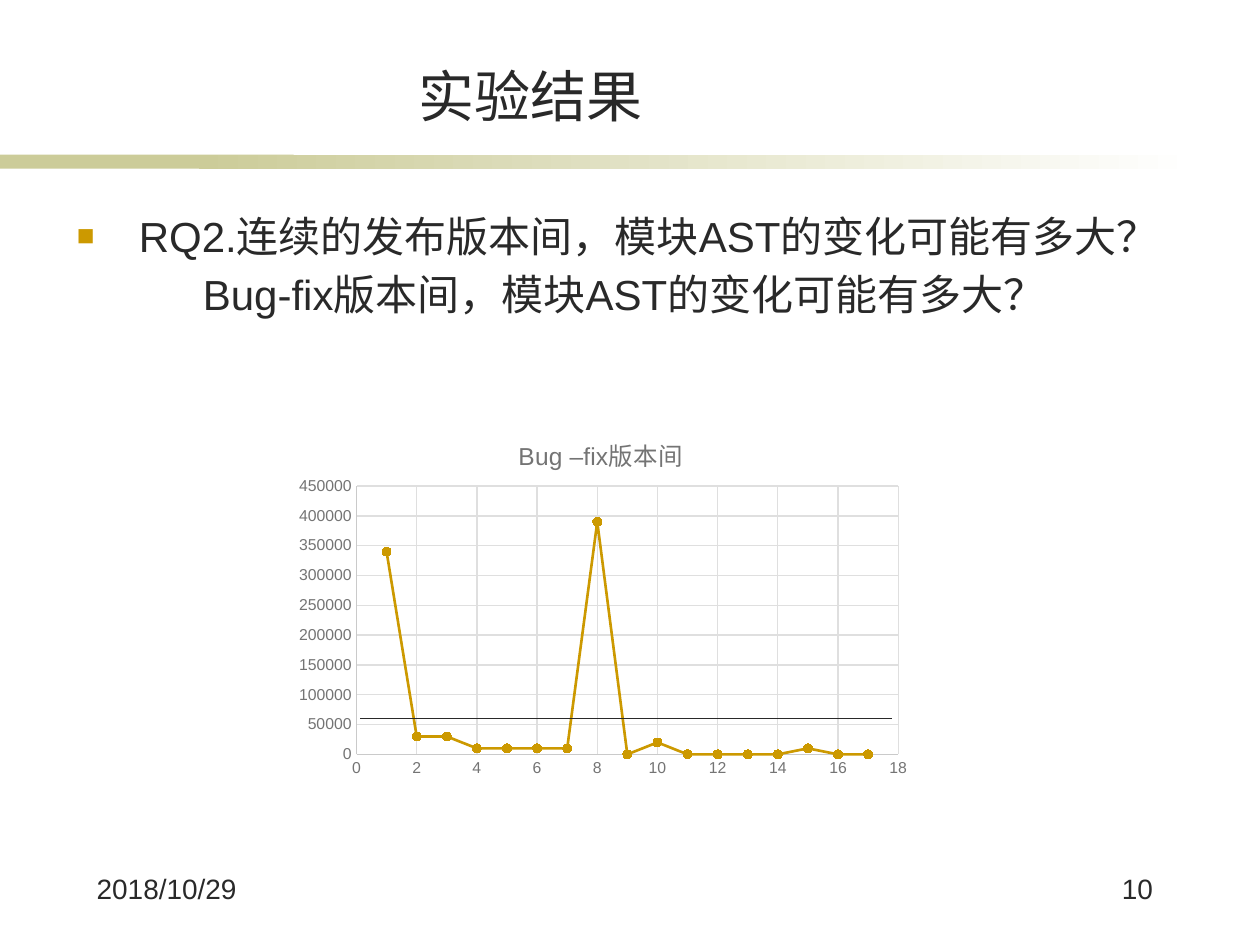
from dataclasses import dataclass

from lxml.etree import SubElement
from pptx import Presentation
from pptx.chart.data import XyChartData
from pptx.dml.color import RGBColor
from pptx.enum.chart import XL_CHART_TYPE as ChartType, XL_MARKER_STYLE as Marker, XL_TICK_MARK as Tick
from pptx.enum.shapes import MSO_CONNECTOR as Connector, MSO_SHAPE as Shape
from pptx.enum.text import MSO_ANCHOR as Anchor, PP_ALIGN as Align
from pptx.oxml import parse_xml
from pptx.oxml.ns import nsdecls, qn
from pptx.util import Cm, Pt


@dataclass(frozen=True)
class Theme:
    font: str = "Arial"
    ink: str = "292929"
    accent: str = "CC9900"
    bar: str = "CCCC99"
    white: str = "FFFFFF"
    muted: str = "747474"
    axis: str = "CACACA"
    grid: str = "DFDFDF"
    title: float = 32
    body: float = 24
    footer: float = 16
    chart_title: float = 14
    tick: float = 9
    hairline: float = 0.75
    series: float = 1.5


THEME = Theme()
BUG_FIX_CHANGES = [340000, 30000, 30000, 10000, 10000, 10000, 10000, 390000, 0,
                   20000, 0, 0, 0, 0, 10000, 0, 0]


def rgb(value):
    return RGBColor.from_string(value)


def style_font(font, size, color=THEME.ink):
    font.name, font.size, font.bold = THEME.font, Pt(size), False
    font.color.rgb = rgb(color)


def style_line(line, color, width=THEME.hairline):
    line.color.rgb = rgb(color)
    line.width = Pt(width)


def add_bar(s, left, width, fade=False):
    sp = s.shapes.add_shape(Shape.RECTANGLE, Cm(left), Cm(3.12), Cm(width), Cm(0.28))
    sp.shadow.inherit = False
    sp.line.fill.background()
    if fade:
        sp.fill.gradient()
        sp.fill.gradient_angle = 0
        for stop, color in zip(sp.fill.gradient_stops, (THEME.bar, THEME.white)):
            stop.color.rgb = rgb(color)
    else:
        sp.fill.solid()
        sp.fill.fore_color.rgb = rgb(THEME.bar)


def add_text(s, box, lines, size, align=Align.LEFT, anchor=Anchor.TOP):
    """Add a wrapped text box, one paragraph per line, and return its paragraphs."""
    tf = s.shapes.add_textbox(*map(Cm, box)).text_frame
    tf.word_wrap = True
    tf.vertical_anchor = anchor
    for i, line in enumerate(lines):
        p = tf.add_paragraph() if i else tf.paragraphs[0]
        p.alignment = align
        r = p.add_run()
        r.text = line
        style_font(r.font, size)
    return tf.paragraphs


def indent(p, left, first=0):
    pPr = p._p.get_or_add_pPr()
    pPr.set("marL", str(Cm(left)))
    pPr.set("indent", str(Cm(first)))
    return pPr


def add_bullet(p):
    pPr = indent(p, 1.25, -1.25)
    color = SubElement(pPr, qn("a:buClr"))
    SubElement(color, qn("a:srgbClr"), val=THEME.accent)
    SubElement(pPr, qn("a:buSzPct"), val="70000")
    SubElement(pPr, qn("a:buFont"), typeface=THEME.font)
    SubElement(pPr, qn("a:buChar"), char="■")


def add_question(s):
    lines = ["RQ2.连续的发布版本间，模块AST的变化可能有多大？",
             "Bug-fix版本间，模块AST的变化可能有多大？"]
    first, second = add_text(s, (1.3, 4.11, 22.61, 12.19), lines, THEME.body)
    for p in (first, second):
        p.space_before = Pt(THEME.body * 0.2)
    add_bullet(first)
    indent(second, 2.54)


def manual_layout(**values):
    """Build a c:layout element from fractions of the chart area."""
    target = '<c:layoutTarget val="inner"/>' if "w" in values else ""
    modes = '<c:xMode val="edge"/><c:yMode val="edge"/>'
    sizes = "".join(f'<c:{key} val="{value}"/>' for key, value in values.items())
    return parse_xml(f'<c:layout {nsdecls("c")}><c:manualLayout>{target}{modes}{sizes}'
                     "</c:manualLayout></c:layout>")


def style_axis(axis, maximum, step):
    axis.minimum_scale, axis.maximum_scale, axis.major_unit = 0, maximum, step
    axis.major_tick_mark = axis.minor_tick_mark = Tick.NONE
    axis.has_major_gridlines = True
    style_line(axis.major_gridlines.format.line, THEME.grid)
    style_line(axis.format.line, THEME.axis)
    style_font(axis.tick_labels.font, THEME.tick, THEME.muted)
    axis.tick_labels.number_format = "General"
    axis.tick_labels.number_format_is_linked = False


def add_chart_title(chart):
    chart.has_title = True
    title = chart.chart_title
    r = title.text_frame.paragraphs[0].add_run()
    r.text = "Bug –fix版本间"
    style_font(r.font, THEME.chart_title, THEME.muted)
    element = title._element
    for old in element.findall(qn("c:layout")):
        element.remove(old)
    element.find(qn("c:tx")).addnext(manual_layout(x=0.36, y=0.06))


def add_scatter(s):
    data = XyChartData()
    points = data.add_series("Series 1")
    for x, y in enumerate(BUG_FIX_CHANGES, 1):
        points.add_data_point(x, y)
    chart = s.shapes.add_chart(ChartType.XY_SCATTER_LINES, Cm(5.79), Cm(8.2),
                               Cm(12.7), Cm(7.62), data).chart
    style_font(chart.font, 10)
    chart.has_legend = False
    add_chart_title(chart)
    style_axis(chart.category_axis, 18, 2)
    style_axis(chart.value_axis, 450000, 50000)

    plot_area = chart._chartSpace.chart.plotArea
    for old in plot_area.findall(qn("c:layout")):
        plot_area.remove(old)
    plot_area.insert(0, manual_layout(x=0.11, y=0.21, w=0.86, h=0.71))

    plot = chart.plots[0]
    plot.vary_by_categories = False
    series = plot.series[0]
    series.smooth = False
    style_line(series.format.line, THEME.accent, THEME.series)
    marker = series.marker
    marker.style, marker.size = Marker.CIRCLE, 5
    marker.format.fill.solid()
    marker.format.fill.fore_color.rgb = rgb(THEME.accent)
    style_line(marker.format.line, THEME.accent)


def add_threshold(s):
    line = s.shapes.add_connector(Connector.STRAIGHT, Cm(7.26), Cm(14.48), Cm(17.98), Cm(14.48))
    style_line(line.line, THEME.ink)
    SubElement(line._element.spPr, qn("a:effectLst"))


def main():
    prs = Presentation()
    prs.slide_width, prs.slide_height = Cm(25.4), Cm(19.05)
    s = prs.slides.add_slide(prs.slide_layouts[6])
    add_bar(s, 0, 5.92)
    add_bar(s, 4.01, 20.12, fade=True)
    add_text(s, (2.9, 1.12, 15.6, 1.6), ["实验结果"], THEME.title, Align.CENTER, Anchor.BOTTOM)
    add_question(s)
    add_text(s, (1.7, 17.45, 3.58, 1.27), ["2018/10/29"], THEME.footer)
    add_text(s, (20.9, 17.45, 2.59, 1.27), ["10"], THEME.footer, Align.RIGHT)
    add_scatter(s)
    add_threshold(s)
    prs.save("out.pptx")


if __name__ == "__main__":
    main()
